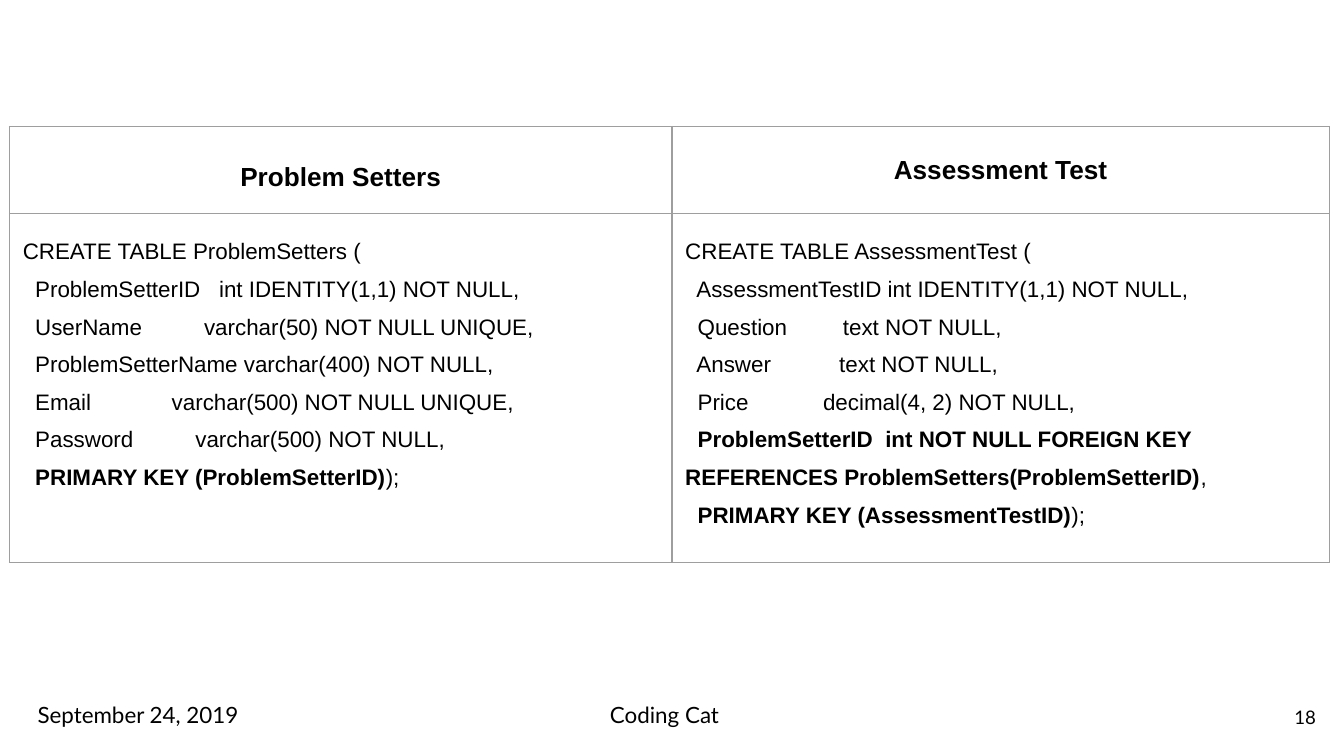
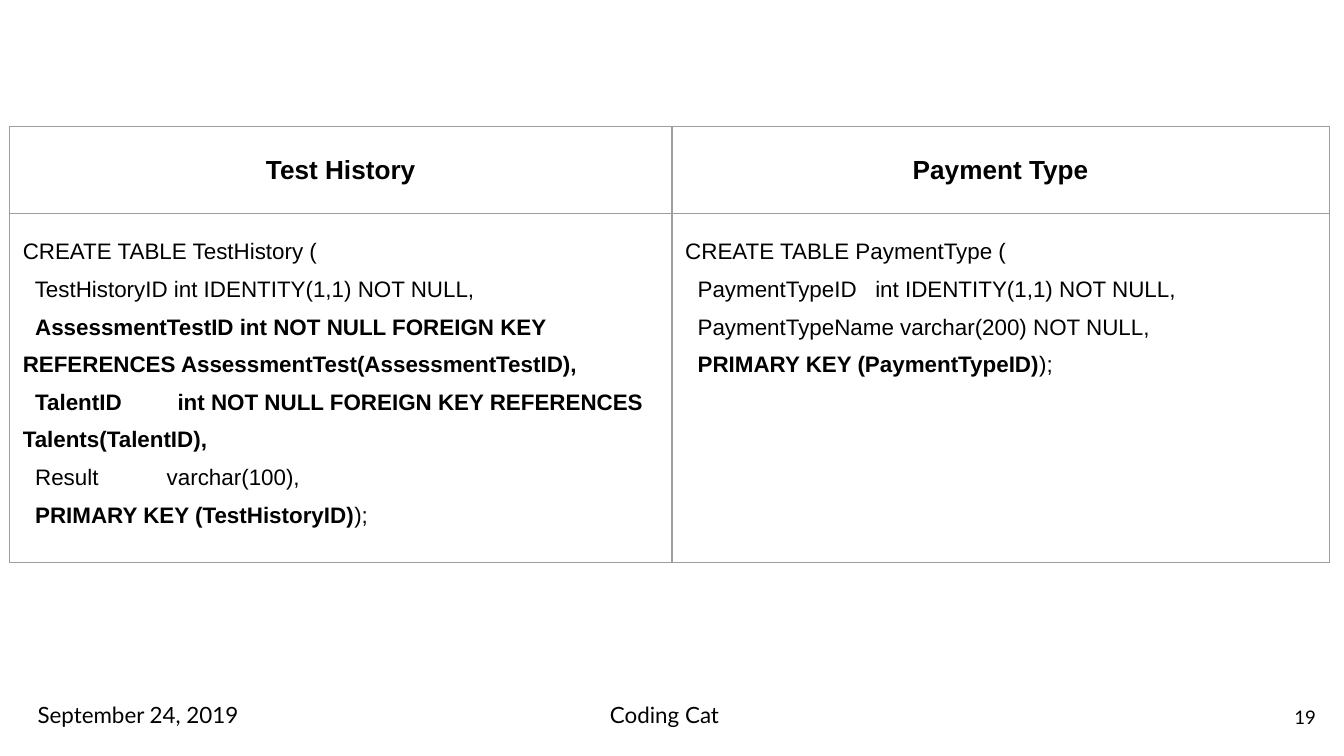
from lxml import etree
from pptx import Presentation
from pptx import util as u
from pptx.dml.color import RGBColor
from pptx.enum import text
from pptx.oxml import ns

COLOURS = {"ink": "000000", "rule": "9E9E9E", "paper": "FFFFFF"}
INSET = u.Cm(0.25)
MARGINS = {f"margin_{side}": INSET for side in ("left", "right", "top", "bottom")}
HEADING = {"name": "Arial", "size": u.Pt(14), "bold": True}
CODE = {"name": "Arial", "size": u.Pt(12), "bold": False}
FOOTER = {"name": "Lato", "size": u.Pt(12)}
PAGE_NUMBER = {"name": "Lato", "size": u.Pt(10)}

COLUMN_WIDTHS = (12.52, 12.42)
ROW_HEIGHTS = (1.65, 2.95)
TABLE_BOX = (0.18, 2.39, sum(COLUMN_WIDTHS), 8.18)
FOOTER_BOX = (0.36, 13, 24.76, 1.1)

# Each schema: heading, heading line spacing, SQL with ** around bold parts
SCHEMAS = {
    18: [
        ("Problem Setters", 1.5, """CREATE TABLE ProblemSetters (
  ProblemSetterID   int IDENTITY(1,1) NOT NULL,
  UserName          varchar(50) NOT NULL UNIQUE,
  ProblemSetterName varchar(400) NOT NULL,
  Email             varchar(500) NOT NULL UNIQUE,
  Password          varchar(500) NOT NULL,
  **PRIMARY KEY (ProblemSetterID)**);"""),
        ("Assessment Test", 1.0, """CREATE TABLE AssessmentTest (
  AssessmentTestID int IDENTITY(1,1) NOT NULL,
  Question         text NOT NULL,
  Answer           text NOT NULL,
  Price            decimal(4, 2) NOT NULL,
  **ProblemSetterID  int NOT NULL FOREIGN KEY REFERENCES ProblemSetters(ProblemSetterID)**,
  **PRIMARY KEY (AssessmentTestID)**);"""),
    ],
    19: [
        ("Test History", 1.0, """CREATE TABLE TestHistory (
  TestHistoryID int IDENTITY(1,1) NOT NULL,
  **AssessmentTestID int NOT NULL FOREIGN KEY REFERENCES AssessmentTest(AssessmentTestID),**
**  TalentID         int NOT NULL FOREIGN KEY REFERENCES Talents(TalentID),**
  Result           varchar(100),
**  PRIMARY KEY (TestHistoryID)**);"""),
        ("Payment Type", 1.0, """CREATE TABLE PaymentType (
  PaymentTypeID   int IDENTITY(1,1) NOT NULL,
  PaymentTypeName varchar(200) NOT NULL,
  **PRIMARY KEY (PaymentTypeID)**);"""),
    ],
}


def apply(target, values):
    for name, value in values.items():
        setattr(target, name, value)


def add_run(paragraph, words, style):
    run = paragraph.add_run()
    run.text = words
    apply(run.font, style)
    run.font.color.rgb = RGBColor.from_string(COLOURS["ink"])


def rule_cell(cell):
    """Draw thin rules on all four sides and leave the cell unfilled."""
    properties = cell._tc.get_or_add_tcPr()
    for side in ("lnL", "lnR", "lnT", "lnB"):
        line = etree.SubElement(properties, ns.qn(f"a:{side}"), w=str(u.Pt(0.75)))
        fill = etree.SubElement(line, ns.qn("a:solidFill"))
        etree.SubElement(fill, ns.qn("a:srgbClr"), val=COLOURS["rule"])
    cell.fill.background()


def fill_heading(cell, heading, spacing):
    cell.vertical_anchor = text.MSO_ANCHOR.MIDDLE
    paragraph = cell.text_frame.paragraphs[0]
    apply(paragraph, {"alignment": text.PP_ALIGN.CENTER, "line_spacing": spacing})
    add_run(paragraph, heading, HEADING)


def fill_code(cell, sql):
    frame = cell.text_frame
    for number, line in enumerate(sql.splitlines()):
        paragraph = frame.add_paragraph() if number else frame.paragraphs[0]
        paragraph.line_spacing = 1.5
        for index, part in enumerate(line.split("**")):
            if part:
                add_run(paragraph, part, {**CODE, "bold": index % 2 == 1})


def add_schemas(slide, box, schemas):
    holder = slide.shapes.add_table(2, len(schemas), *map(u.Cm, box))
    table = holder.table
    apply(table, {"first_row": False, "horz_banding": False})
    for column, width in zip(table.columns, COLUMN_WIDTHS):
        column.width = u.Cm(width)
    for row, height in zip(table.rows, ROW_HEIGHTS):
        row.height = u.Cm(height)
    holder.height = u.Cm(box[3])
    for cell in table.iter_cells():
        apply(cell, MARGINS)
        rule_cell(cell)
    for column, (heading, spacing, sql) in enumerate(schemas):
        fill_heading(table.cell(0, column), heading, spacing)
        fill_code(table.cell(1, column), sql)


def add_footer(slide, box, page):
    left, top, width, height = box
    centre, right = text.PP_ALIGN.CENTER, text.PP_ALIGN.RIGHT
    upper, middle = text.MSO_ANCHOR.TOP, text.MSO_ANCHOR.MIDDLE
    number_width = 1.52
    entries = [
        ("September 24, 2019", 0, 4.5, centre, upper, FOOTER),
        ("Coding Cat", 9.95, 4.5, centre, upper, FOOTER),
        (str(page), width - number_width, number_width, right, middle, PAGE_NUMBER),
    ]
    for words, offset, entry_width, alignment, anchor, style in entries:
        place = (left + offset, top, entry_width, height)
        frame = slide.shapes.add_textbox(*map(u.Cm, place)).text_frame
        apply(frame, {"word_wrap": True, "vertical_anchor": anchor, **MARGINS})
        frame.paragraphs[0].alignment = alignment
        add_run(frame.paragraphs[0], words, style)


def add_schema_slide(deck, page, schemas):
    slide = deck.slides.add_slide(deck.slide_layouts[6])
    background = slide.background.fill
    background.solid()
    background.fore_color.rgb = RGBColor.from_string(COLOURS["paper"])
    add_footer(slide, FOOTER_BOX, page)
    add_schemas(slide, TABLE_BOX, schemas)


def main():
    deck = Presentation()
    apply(deck, {"slide_width": u.Cm(25.4), "slide_height": u.Cm(14.29)})
    for page, schemas in SCHEMAS.items():
        add_schema_slide(deck, page, schemas)
    deck.save("out.pptx")


if __name__ == "__main__":
    main()
